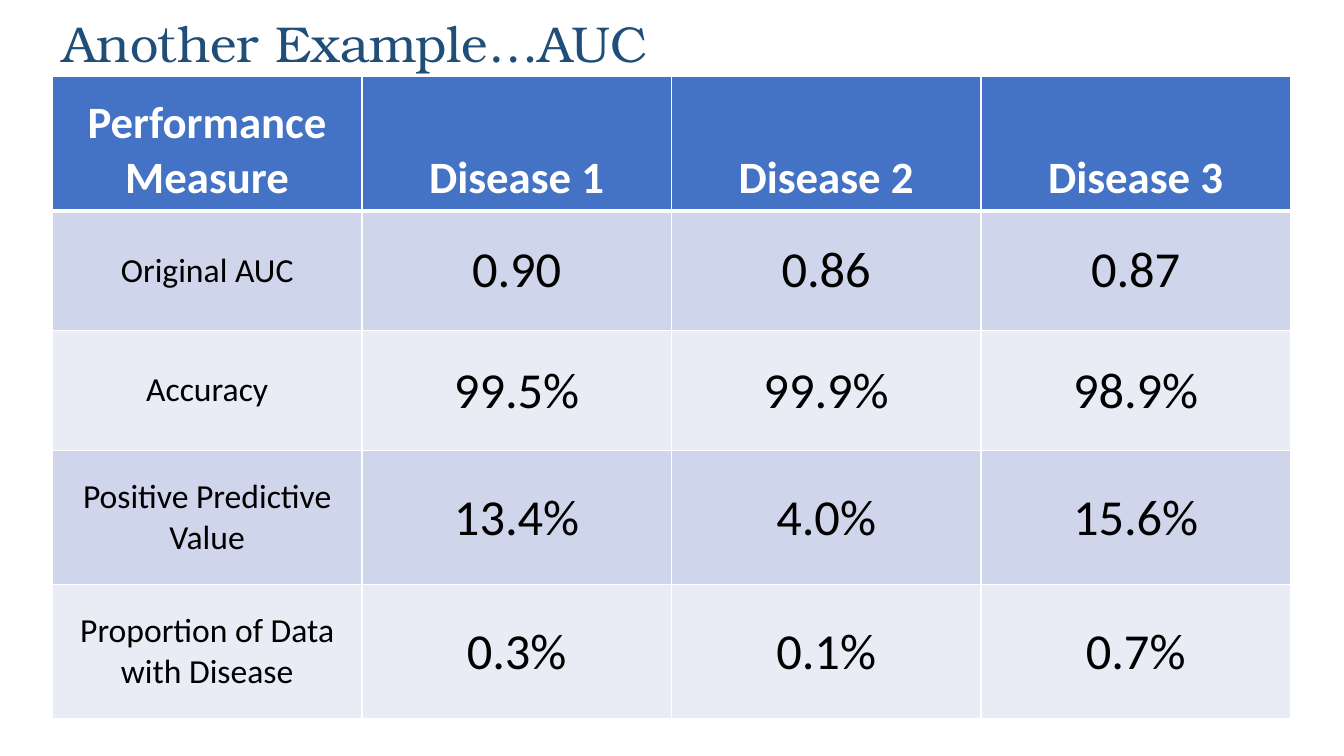
from lxml import etree
from pptx import Presentation
from pptx.dml.color import RGBColor
from pptx.enum import text as t
from pptx.oxml import ns
from pptx.util import Inches, Pt

# Content
TITLE = "Another Example…AUC"
ROWS = [
    ("Performance Measure", "Disease 1", "Disease 2", "Disease 3"),
    ("Original AUC", "0.90", "0.86", "0.87"),
    ("Accuracy", "99.5%", "99.9%", "98.9%"),
    ("Positive Predictive Value", "13.4%", "4.0%", "15.6%"),
    ("Proportion of Data with Disease", "0.3%", "0.1%", "0.7%"),
]
HEIGHTS = [1.33, 1.19, 1.19, 1.33, 1.33]
LEFT, TOP, COL = 0.52, 0.76, 3.07

# Colours
NAVY = RGBColor(0x1F, 0x4E, 0x79)
BLUE = RGBColor(0x44, 0x72, 0xC4)
BANDS = [RGBColor(0xE9, 0xEB, 0xF5), RGBColor(0xCF, 0xD5, 0xEA)]
WHITE = RGBColor(0xFF, 0xFF, 0xFF)
BLACK = RGBColor(0, 0, 0)


def write(frame, words, size, color, font="Calibri", bold=False,
          align=t.PP_ALIGN.CENTER, line=None):
    frame.text = words
    para = frame.paragraphs[0]
    para.alignment = align
    para.line_spacing = line
    style = para.runs[0].font
    style.name, style.size, style.bold = font, Pt(size), bold
    style.color.rgb = color


def border(cell, widths):
    """Draw white lines on the left, right, top and bottom, in that order."""
    props = cell._tc.get_or_add_tcPr()
    for side, width in zip("LRTB", widths):
        line = etree.SubElement(props, ns.qn("a:ln" + side), w=str(Pt(width)))
        fill = etree.SubElement(line, ns.qn("a:solidFill"))
        etree.SubElement(fill, ns.qn("a:srgbClr"), val=str(WHITE))


deck = Presentation()
deck.slide_width, deck.slide_height = Inches(13.33), Inches(7.5)
slide = deck.slides.add_slide(deck.slide_layouts[5])

# Title
title = slide.shapes.title
title.left, title.top = Inches(LEFT), Inches(0.14)
title.width, title.height = Inches(7.23), Inches(1.45)
title.text_frame.vertical_anchor = t.MSO_ANCHOR.TOP
write(title.text_frame, TITLE, 36, NAVY, font="TeX Gyre Bonum",
      align=t.PP_ALIGN.LEFT, line=0.9)

# Table
count = len(ROWS[0])
table = slide.shapes.add_table(
    len(ROWS), count, Inches(LEFT), Inches(TOP),
    Inches(COL * count), Inches(sum(HEIGHTS))).table
for col in table.columns:
    col.width = Inches(COL)

for r, (row, height) in enumerate(zip(ROWS, HEIGHTS)):
    table.rows[r].height = Inches(height)
    head = r == 0
    for c, words in enumerate(row):
        cell = table.cell(r, c)
        border(cell, (1, 1, 3 if r == 1 else 1, 3 if head else 1))
        cell.fill.solid()
        cell.fill.fore_color.rgb = BLUE if head else BANDS[r % 2]
        cell.vertical_anchor = t.MSO_ANCHOR.BOTTOM if head else t.MSO_ANCHOR.MIDDLE
        if r > 1 and c > 0:
            cell.margin_left = cell.margin_right = cell.margin_top = Inches(0.01)
            cell.margin_bottom = 0
        size = 32 if head else 36 if c else 24
        write(cell.text_frame, words, size, WHITE if head else BLACK, bold=head)

deck.save("out.pptx")
